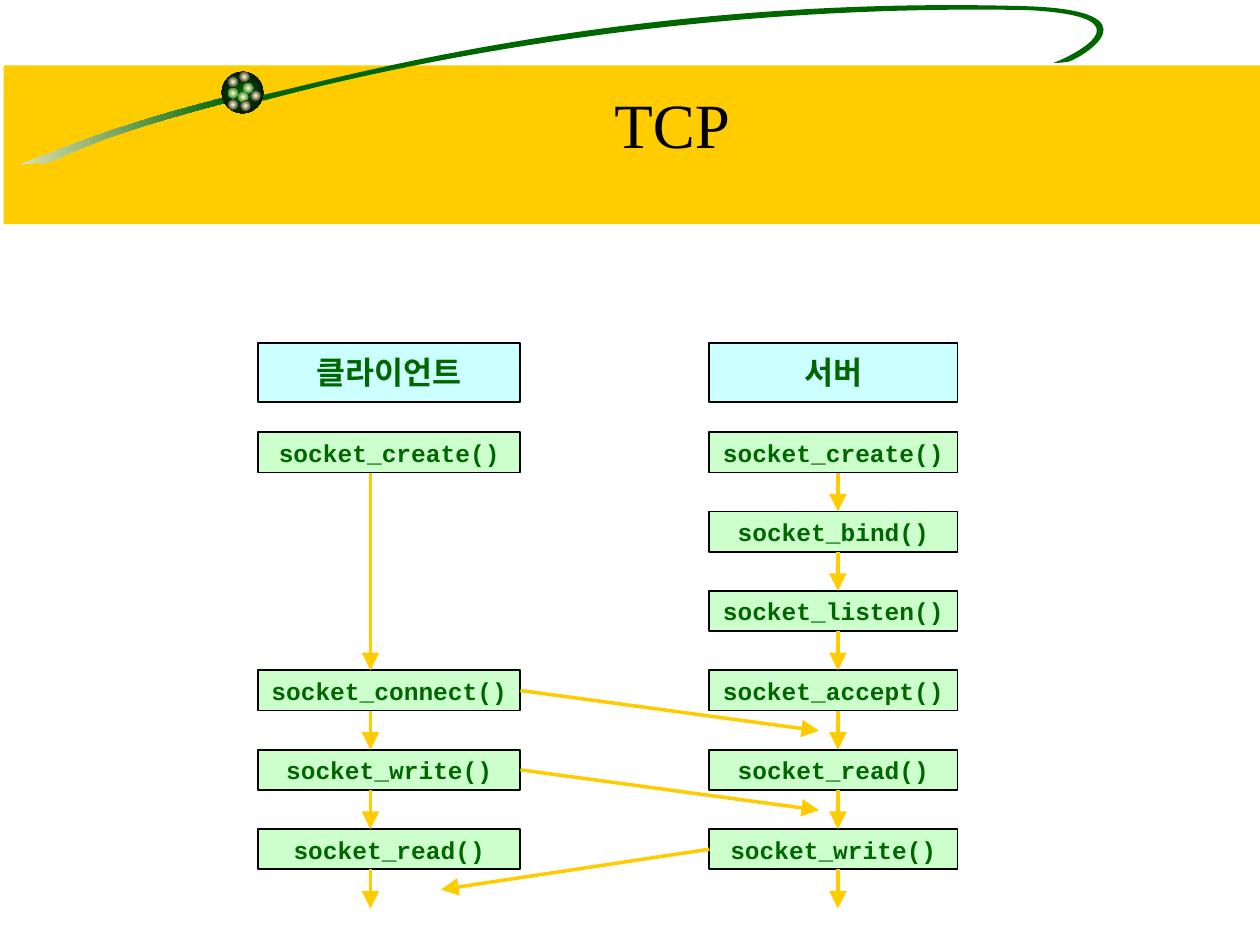
from math import cos, radians, sin

from lxml.etree import SubElement
from pptx import Presentation
from pptx.dml.color import RGBColor
from pptx.enum.shapes import MSO_CONNECTOR, MSO_SHAPE
from pptx.enum.text import MSO_ANCHOR, PP_ALIGN
from pptx.oxml import parse_xml
from pptx.oxml.ns import nsdecls, qn
from pptx.util import Inches, Pt

GOLD = RGBColor(0xFF, 0xCC, 0x00)
GREEN = RGBColor(0x00, 0x66, 0x00)
CYAN = RGBColor(0xCC, 0xFF, 0xFF)
MINT = RGBColor(0xCC, 0xFF, 0xCC)
CREAM = RGBColor(0xFF, 0xFF, 0xCC)
SAND = RGBColor(0xF5, 0xEB, 0xC1)
BLACK = RGBColor(0, 0, 0)

ROW, STEP = 0.32, 0.63  # call box height and row pitch
TILT = -9  # turn of the swoosh in degrees

# Swoosh outlines: start point, then three points for each cubic curve,
# relative to the banner
TAIL = [(1.77, 0.25),
        (0.9, 0.47), (0.49, 0.65), (0.25, 0.74),
        (0, 0.83), (0.26, 0.75), (0.31, 0.78),
        (0.56, 0.71), (0.57, 0.61), (1.78, 0.29),
        (1.78, 0.29), (1.77, 0.25), (1.77, 0.25)]
ARC = [(2.02, 0.24),
       (2.46, 0.16), (4.86, -0.57), (8.14, -0.47),
       (9.16, -0.43), (8.57, -0.07), (8.45, -0.03),
       (8.45, -0.03), (8.38, -0.02), (8.33, -0.02),
       (8.44, -0.06), (9.16, -0.39), (8.12, -0.44),
       (5.47, -0.49), (3.2, -0.03), (2.06, 0.28),
       (2.06, 0.28), (2.02, 0.24), (2.02, 0.24)]

# Beads on the ball: offset from the ball's corner and edge colour
BEADS = [(0.17, 0.09, GREEN), (0.05, 0.04, BLACK), (0.05, 0.13, GREEN),
         (0.13, 0.16, GREEN), (0.23, 0.15, BLACK), (0.15, 0.23, BLACK),
         (0.05, 0.22, BLACK), (0.14, 0, BLACK)]


def write(shape, text, size=14, font="Courier New", color=GREEN, bold=True):
    frame = shape.text_frame
    frame.word_wrap = True
    frame.vertical_anchor = MSO_ANCHOR.MIDDLE
    para = frame.paragraphs[0]
    para.alignment = PP_ALIGN.CENTER
    run = para.add_run()
    run.text = text
    run.font.size, run.font.name = Pt(size), font
    run.font.bold, run.font.color.rgb = bold, color


def block(slide, x, y, w, h, fill=None, line=None, kind=MSO_SHAPE.RECTANGLE):
    shape = slide.shapes.add_shape(kind, Inches(x), Inches(y), Inches(w), Inches(h))
    shape.shadow.inherit = False
    if fill is not None:
        shape.fill.solid()
        shape.fill.fore_color.rgb = fill
    if line is None:
        shape.line.fill.background()
    else:
        shape.line.color.rgb = line
        shape.line.width = Pt(1)
    return shape


def blend(shape, start, end, round=False):
    shape.fill.gradient()
    shape.fill.gradient_angle = 0
    for stop, color in zip(shape.fill.gradient_stops, (start, end)):
        stop.color.rgb = color
    if round:
        grad = shape.element.spPr.find(qn("a:gradFill"))
        grad.replace(grad.find(qn("a:lin")), parse_xml(
            f'<a:path {nsdecls("a")} path="circle">'
            '<a:fillToRect l="50000" t="50000" r="50000" b="50000"/></a:path>'))


def ball(slide, x, y, size, start, end):
    shape = block(slide, x, y, size, size, kind=MSO_SHAPE.OVAL)
    blend(shape, start, end, round=True)


def turn(x, y, angle):
    a = radians(angle)
    return x * cos(a) - y * sin(a), x * sin(a) + y * cos(a)


def swoosh(slide, x, y, outline):
    """Draw the outline level, then tilt it into place."""
    level = [turn(x + px, y + py, -TILT) for px, py in outline]
    spots = [(Inches(px), Inches(py)) for px, py in level]
    pen = slide.shapes.build_freeform(*spots[0])
    pen.add_line_segments(spots[1:], close=True)
    shape = pen.convert_to_shape()
    # Join each three points into one cubic curve
    lines = list(shape.element.iter(qn("a:lnTo")))
    for i in range(0, len(lines), 3):
        curve = parse_xml(f'<a:cubicBezTo {nsdecls("a")}/>')
        lines[i].addprevious(curve)
        for line in lines[i:i + 3]:
            curve.append(line[0])
            line.getparent().remove(line)
    # Move the centre with the tilt
    midx, midy = turn(shape.left + shape.width / 2, shape.top + shape.height / 2, TILT)
    shape.left = int(midx - shape.width / 2)
    shape.top = int(midy - shape.height / 2)
    shape.rotation = TILT
    shape.shadow.inherit = False
    shape.line.fill.background()
    return shape


def banner(slide, x, y, w, h):
    block(slide, x, y, w, h, fill=GOLD)
    blend(swoosh(slide, x, y, TAIL), SAND, GREEN)
    arc = swoosh(slide, x, y, ARC)
    arc.fill.solid()
    arc.fill.fore_color.rgb = GREEN
    # Ball with beads
    bx, by = x + 1.73, y + 0.05
    ball(slide, bx, by, 0.33, GREEN, BLACK)
    for dx, dy, edge in BEADS:
        ball(slide, bx + dx, by + dy, 0.08, CREAM, edge)
    # Title
    title = slide.shapes.add_textbox(Inches(x + 1.11), Inches(y), Inches(8.39), Inches(0.92))
    write(title, "TCP", size=36, font="Times New Roman", color=BLACK, bold=False)


def arrow(slide, x1, y1, x2, y2):
    line = slide.shapes.add_connector(
        MSO_CONNECTOR.STRAIGHT, Inches(x1), Inches(y1), Inches(x2), Inches(y2))
    line.line.color.rgb = GOLD
    line.line.width = Pt(2)
    SubElement(line.line._get_or_add_ln(), qn("a:tailEnd"),
               type="triangle", w="lg", len="lg")
    SubElement(line.element.spPr, qn("a:effectLst"))
    return line


def column(slide, x, y, w, head, calls, axis):
    """Heading, call boxes by row number, and the arrows down the axis."""
    write(block(slide, x, y, w, 0.47, CYAN, BLACK), head, size=18, font="Times New Roman")
    tops = {row: y + 0.71 + row * STEP for row in calls}
    boxes = {}
    for row, call in calls.items():
        boxes[row] = block(slide, x, tops[row], w, ROW, MINT, BLACK)
        write(boxes[row], call)
    ends = [*tops.values(), max(tops.values()) + STEP]
    for top, end in zip(ends, ends[1:]):
        arrow(slide, axis, top + ROW, axis, end)
    return boxes


def message(slide, box, side, x, y):
    line = arrow(slide, 0, 0, x, y)
    line.begin_connect(box, side)


def main():
    deck = Presentation()
    deck.slide_width, deck.slide_height = Inches(10), Inches(7.5)
    slide = deck.slides.add_slide(deck.slide_layouts[6])
    banner(slide, 0.03, 0.52, 10, 1.26)

    # Call sequences
    names = ["create", "bind", "listen", "accept", "read", "write"]
    server = column(slide, 5.63, 2.72, 1.97, "서버",
                    {i: f"socket_{name}()" for i, name in enumerate(names)}, 6.65)
    client = column(slide, 2.05, 2.72, 2.08, "클라이언트",
                    {0: "socket_create()", 3: "socket_connect()",
                     4: "socket_write()", 5: "socket_read()"}, 2.94)

    # Messages between the two sides
    message(slide, client[3], 3, 6.5, 5.8)
    message(slide, client[4], 3, 6.5, 5.8 + STEP)
    message(slide, server[5], 1, 3.5, 5.8 + 2 * STEP)
    deck.save("out.pptx")


if __name__ == "__main__":
    main()
